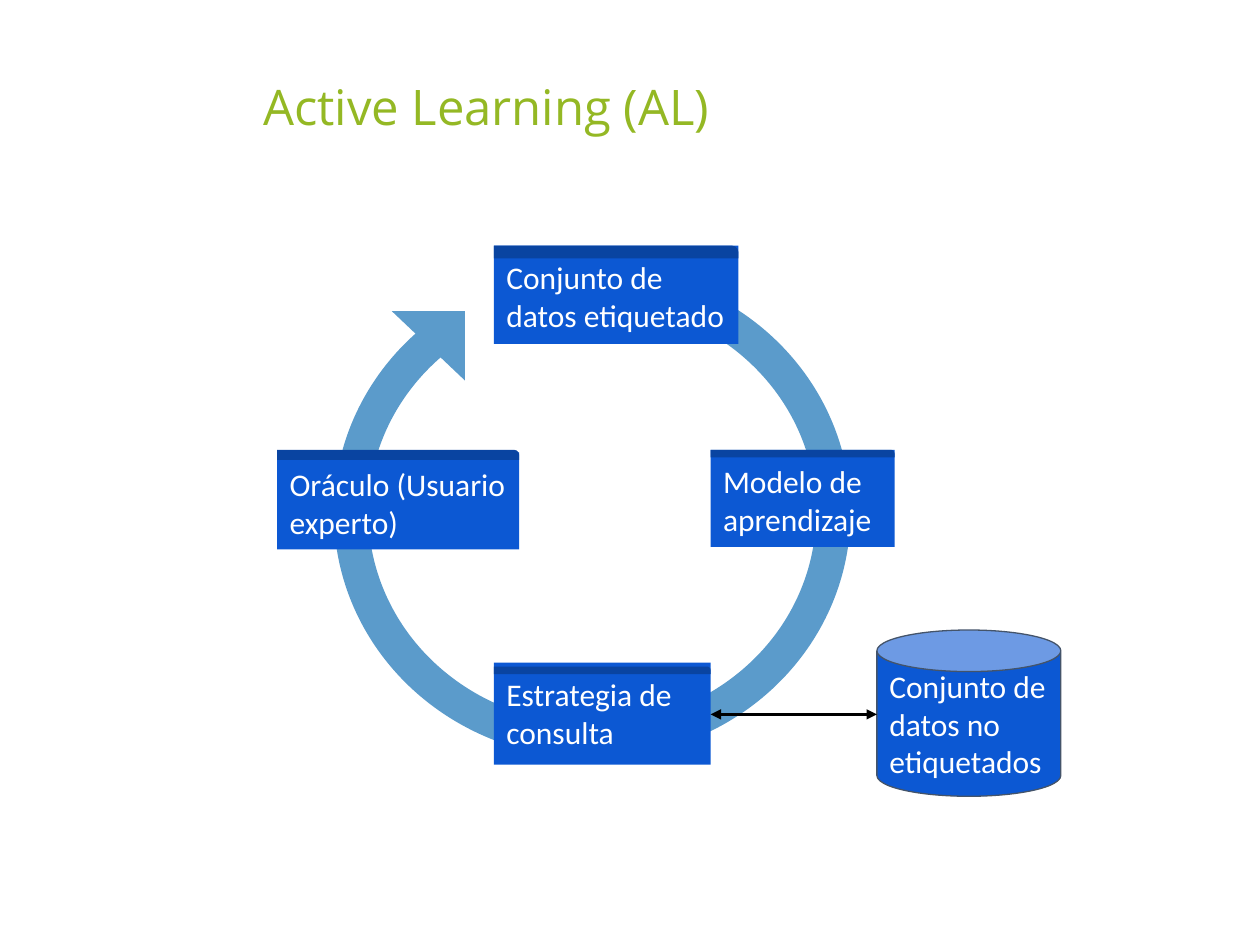
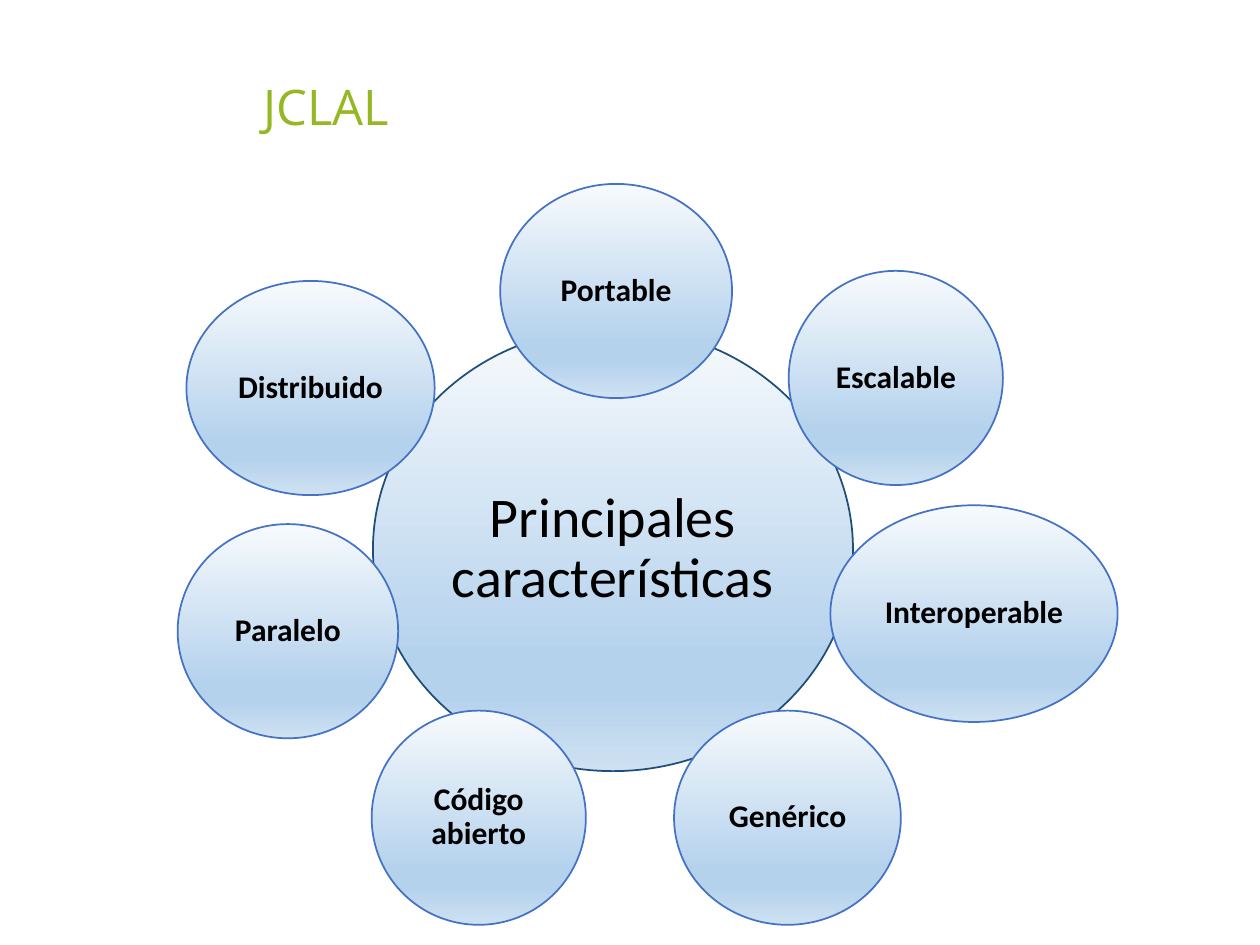
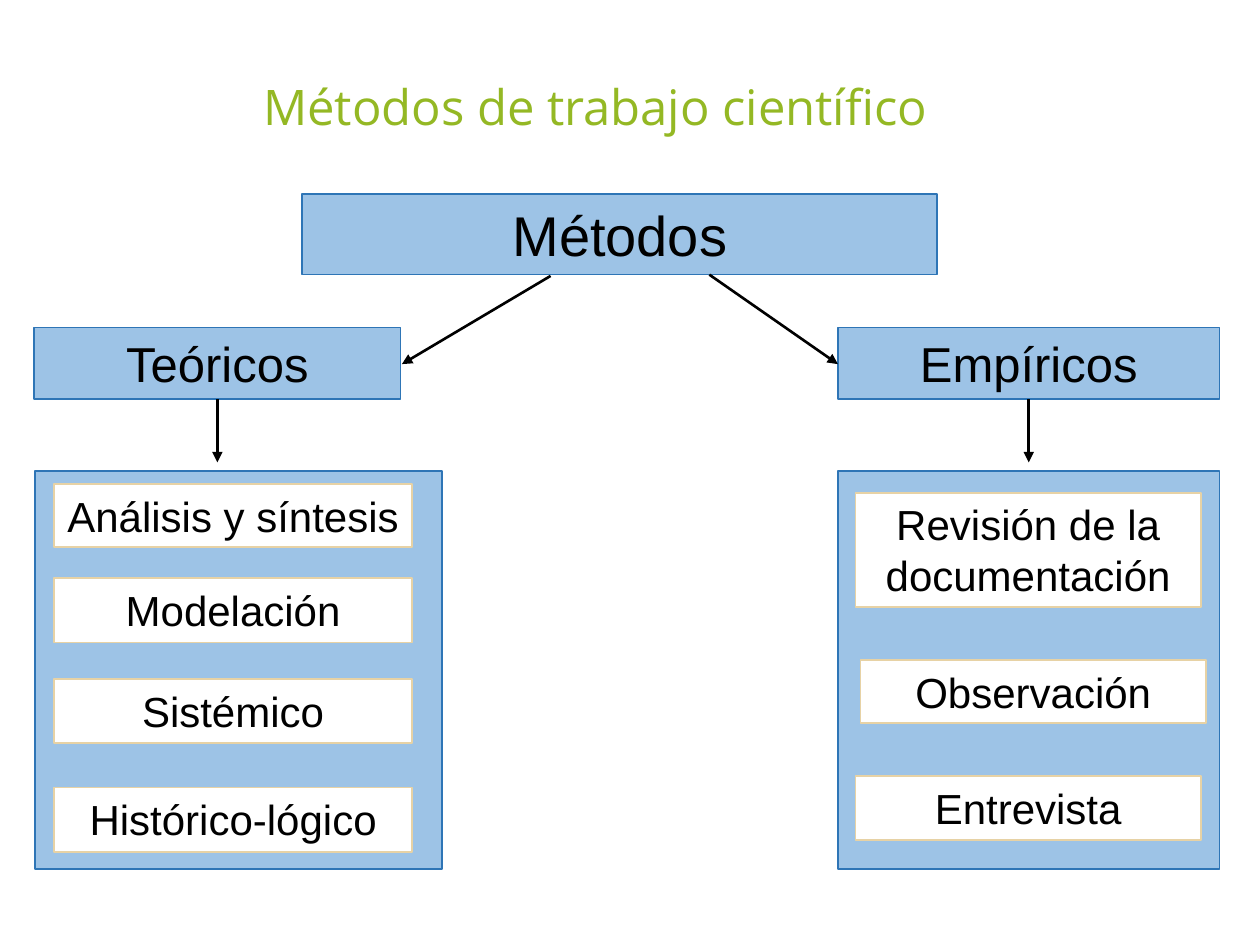
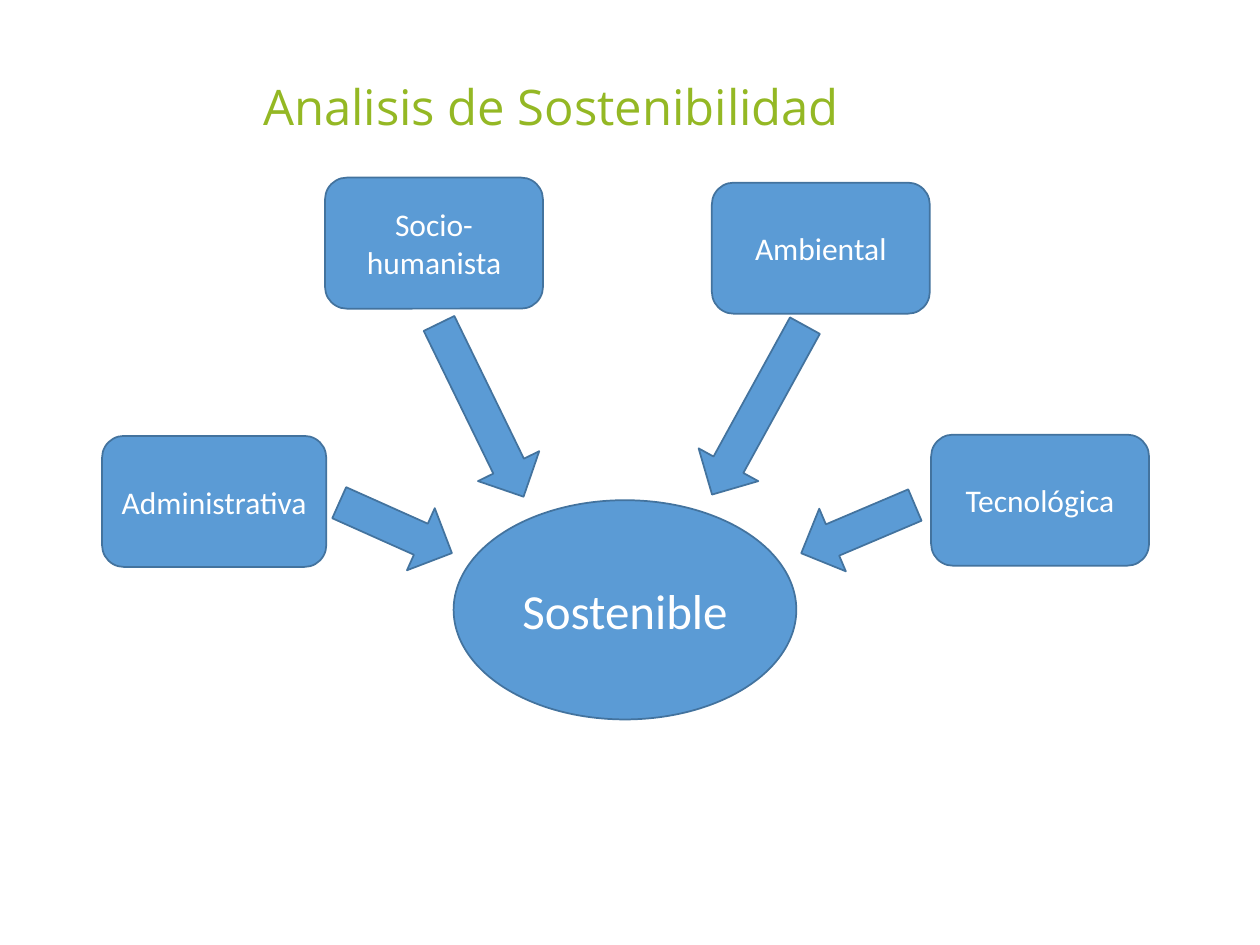
"""Builds four diagram slides on active learning on a grid of 100 columns by 75 rows."""
from math import sqrt

from lxml.etree import SubElement
from pptx import Presentation
from pptx.dml.color import RGBColor
from pptx.enum.shapes import MSO_CONNECTOR, MSO_SHAPE
from pptx.enum.text import MSO_ANCHOR, PP_ALIGN
from pptx.oxml.ns import qn
from pptx.util import Inches, Pt

COLUMNS, ROWS = 100, 75
WIDTH, HEIGHT = Inches(10), Inches(7.5)

COLORS = {
    "title": "94B824", "white": "FFFFFF", "black": "000000",
    "cycle": "5B9BCB", "step": "0C58D3", "cap": "0944A1", "store_edge": "44546A",
    "hub_edge": "1F4E79", "feature_edge": "4472C4",
    "method": "9DC3E6", "method_edge": "2E75B6", "item_edge": "E7D2A5",
    "factor": "5B9BD5", "factor_edge": "43739E",
}
BUBBLE_STOPS = [(0, "F7FAFD"), (74, "B5D2EC"), (83, "B5D2EC"), (100, "CEE1F2")]
TITLE_AREA = (19.9, 2.9, 73.2, 11.6)
INSCRIBED = 1 / sqrt(2)

TITLES = ["Active Learning (AL)", "JCLAL", "Métodos de trabajo científico",
          "Analisis de Sostenibilidad"]

STEPS = [
    ("Modelo de aprendizaje", (56.4, 35.7, 14.6, 7.7), 35.7, 0.6),
    ("Conjunto de datos etiquetado", (39.2, 19.5, 19.4, 7.8), 19.5, 1),
    ("Oráculo (Usuario experto)", (22, 35.9, 19.2, 7.7), 35.7, 0.8),
    ("Estrategia de consulta", (39.2, 52.6, 17.2, 8.1), 52.9, 0.6),
]
STORE = ("Conjunto de datos no etiquetados", (69.6, 50, 14.6, 13.2))

HUB = ("Principales características", (29.6, 26, 38.1, 35.2))
FEATURES = [
    ("Portable", (39.7, 14.6, 18.4, 17)),
    ("Escalable", (62.6, 21.5, 17, 17)),
    ("Interoperable", (65.9, 40.1, 22.8, 17.2)),
    ("Genérico", (53.5, 56.4, 18, 17)),
    ("Código abierto", (29.5, 56.4, 17, 17)),
    ("Paralelo", (14.1, 41.6, 17.5, 17)),
    ("Distribuido", (14.8, 22.3, 19.7, 17)),
]

METHODS = ("Métodos", (24, 15.4, 50.4, 6.4))
BRANCHES = [
    {"name": "Teóricos", "head": (2.7, 29.1), "frame": (2.8, 32.3),
     "link": ((43.7, 21.9), (31.9, 28.9)), "item_width": 28.4,
     "items": [("Análisis y síntesis", 4.3, 38.4, 5), ("Modelación", 4.3, 45.9, 5.1),
               ("Sistémico", 4.3, 53.9, 5.1), ("Histórico-lógico", 4.3, 62.5, 5.1)]},
    {"name": "Empíricos", "head": (66.5, 30.3), "frame": (66.5, 30.3),
     "link": ((56.3, 21.8), (66.5, 28.9)), "item_width": 27.4,
     "items": [("Revisión de la documentación", 67.9, 39.1, 9.1),
               ("Observación", 68.3, 52.4, 5), ("Entrevista", 67.9, 61.6, 5.1)]},
]
HEAD_TOP, HEAD_HEIGHT = 26, 5.7
FRAME_TOP, FRAME_HEIGHT = 37.4, 31.6
DROP = 5

GOAL = ("Sostenible", (36, 39.7, 27.2, 17.4))
FACTORS = [
    ("Administrativa", (8.1, 34.6, 17.8, 10.4)),
    ("Tecnológica", (73.9, 34.5, 17.3, 10.4)),
    ("Ambiental", (56.5, 14.5, 17.3, 10.4)),
    ("Socio-humanista", (25.8, 14.1, 17.3, 10.4)),
]
POINTERS = [
    ((35.5, 24.9, 5.4, 15.3), 334),
    ((28.7, 37, 5.4, 9.8), 294.1),
    ((57.5, 24.9, 5.4, 15.3), 28.8),
    ((65.4, 37.1, 5.4, 9.8), 67),
]


def x(column):
    return round(WIDTH * column / COLUMNS)


def y(row):
    return round(HEIGHT * row / ROWS)


def grid(area):
    left, top, width, height = area
    return x(left), y(top), x(width), y(height)


def color(name):
    return RGBColor.from_string(COLORS[name])


def write(holder, text, size=18, font="Calibri", ink="white", bold=False, align=PP_ALIGN.CENTER,
          anchor=MSO_ANCHOR.MIDDLE, spacing=1, inset=None):
    frame = holder.text_frame
    frame.word_wrap = True
    frame.vertical_anchor = anchor
    if inset is not None:
        frame.margin_left = frame.margin_right = Inches(inset)
        frame.margin_top = frame.margin_bottom = Inches(inset)
    paragraph = frame.paragraphs[0]
    paragraph.alignment = align
    paragraph.line_spacing = spacing
    run = paragraph.add_run()
    run.text = text
    run.font.size, run.font.name, run.font.bold = Pt(size), font, bold
    run.font.color.rgb = color(ink)


def add_label(slide, area, text, **style):
    write(slide.shapes.add_textbox(*grid(area)), text, **style)


def add_block(slide, kind, area, fill=None, edge=None, weight=1, turn=0, adjust=()):
    block = slide.shapes.add_shape(kind, *grid(area))
    block.shadow.inherit = False
    block.rotation = turn
    for index, value in enumerate(adjust):
        block.adjustments[index] = value
    if fill:
        block.fill.solid()
        block.fill.fore_color.rgb = color(fill)
    if edge:
        block.line.color.rgb = color(edge)
        block.line.width = Pt(weight)
    else:
        block.line.fill.background()
    return block


def add_arrow(slide, start, end, ends=("tailEnd",)):
    arrow = slide.shapes.add_connector(
        MSO_CONNECTOR.STRAIGHT, x(start[0]), y(start[1]), x(end[0]), y(end[1]))
    arrow.line.color.rgb = color("black")
    arrow.line.width = Pt(1.5)
    properties = arrow._element.spPr
    for tip in ends:
        SubElement(properties.find(qn("a:ln")), qn("a:" + tip), type="triangle")
    SubElement(properties, qn("a:effectLst"))


def add_bubble(slide, area, text, edge, **style):
    bubble = add_block(slide, MSO_SHAPE.OVAL, area, edge=edge)
    bubble.fill.gradient()
    bubble.fill.gradient_angle = 270
    stops = bubble._element.spPr.find(qn("a:gradFill")).find(qn("a:gsLst"))
    for stop in list(stops):
        stops.remove(stop)
    for percent, shade in BUBBLE_STOPS:
        stop = SubElement(stops, qn("a:gs"), pos=str(percent * 1000))
        SubElement(stop, qn("a:srgbClr"), val=shade)
    left, top, width, height = area
    margin = (1 - INSCRIBED) / 2
    inner = (left + width * margin, top + height * margin, width * INSCRIBED, height * INSCRIBED)
    add_label(slide, inner, text, ink="black", spacing=0.9, **style)


def draw_cycle(slide):
    add_block(slide, MSO_SHAPE.BLOCK_ARC, (26.5, 21.2, 41, 39), "cycle", turn=180,
              adjust=(54, 30.13, 0.07))
    add_block(slide, MSO_SHAPE.RIGHT_TRIANGLE, (31.1, 24.7, 5.8, 5.5), "cycle", turn=180)
    for text, area, cap_top, cap_height in STEPS:
        step = add_block(slide, MSO_SHAPE.RECTANGLE, area, "step")
        write(step, text, align=PP_ALIGN.LEFT, anchor=MSO_ANCHOR.TOP, inset=0.1)
        add_block(slide, MSO_SHAPE.ROUND_1_RECTANGLE, (area[0], cap_top, area[2], cap_height),
                  "cap", adjust=(0.5,))
    text, area = STORE
    store = add_block(slide, MSO_SHAPE.CAN, area, "step", "store_edge", 0.75, adjust=(0.25,))
    write(store, text, align=PP_ALIGN.LEFT, inset=0.1)
    query = STEPS[-1][1]
    add_arrow(slide, (query[0] + query[2], 56.7), (area[0], 56.7), ("headEnd", "tailEnd"))


def draw_features(slide):
    text, area = HUB
    add_bubble(slide, area, text, "hub_edge", size=32, inset=0.04)
    for text, area in FEATURES:
        add_bubble(slide, area, text, "feature_edge", bold=True, inset=0.03)


def draw_methods(slide):
    def add_method(area, text, size, fill="method", edge="method_edge"):
        write(add_block(slide, MSO_SHAPE.RECTANGLE, area, fill, edge), text, size=size,
              font="Arial", ink="black", anchor=MSO_ANCHOR.TOP)

    text, area = METHODS
    add_method(area, text, 32)
    for branch in BRANCHES:
        left, width = branch["head"]
        frame_left, frame_width = branch["frame"]
        add_block(slide, MSO_SHAPE.RECTANGLE, (frame_left, FRAME_TOP, frame_width, FRAME_HEIGHT),
                  "method", "method_edge")
        add_method((left, HEAD_TOP, width, HEAD_HEIGHT), branch["name"], 28)
        add_arrow(slide, *branch["link"])
        middle, bottom = left + width / 2, HEAD_TOP + HEAD_HEIGHT
        add_arrow(slide, (middle, bottom), (middle, bottom + DROP))
        for text, item_left, top, height in branch["items"]:
            add_method((item_left, top, branch["item_width"], height), text, 24,
                       "white", "item_edge")


def draw_sustainability(slide):
    text, area = GOAL
    write(add_block(slide, MSO_SHAPE.OVAL, area, "factor", "factor_edge"), text, size=28)
    for text, area in FACTORS:
        write(add_block(slide, MSO_SHAPE.ROUNDED_RECTANGLE, area, "factor", "factor_edge"), text)
    for area, turn in POINTERS:
        add_block(slide, MSO_SHAPE.DOWN_ARROW, area, "factor", "factor_edge", turn=turn)


deck = Presentation()
deck.slide_width, deck.slide_height = WIDTH, HEIGHT
for title, draw in zip(TITLES, [draw_cycle, draw_features, draw_methods, draw_sustainability]):
    page = deck.slides.add_slide(deck.slide_layouts[6])
    add_label(page, TITLE_AREA, title, size=28, font="Open Sans", ink="title",
              align=PP_ALIGN.LEFT, spacing=0.9)
    draw(page)
deck.save("out.pptx")
